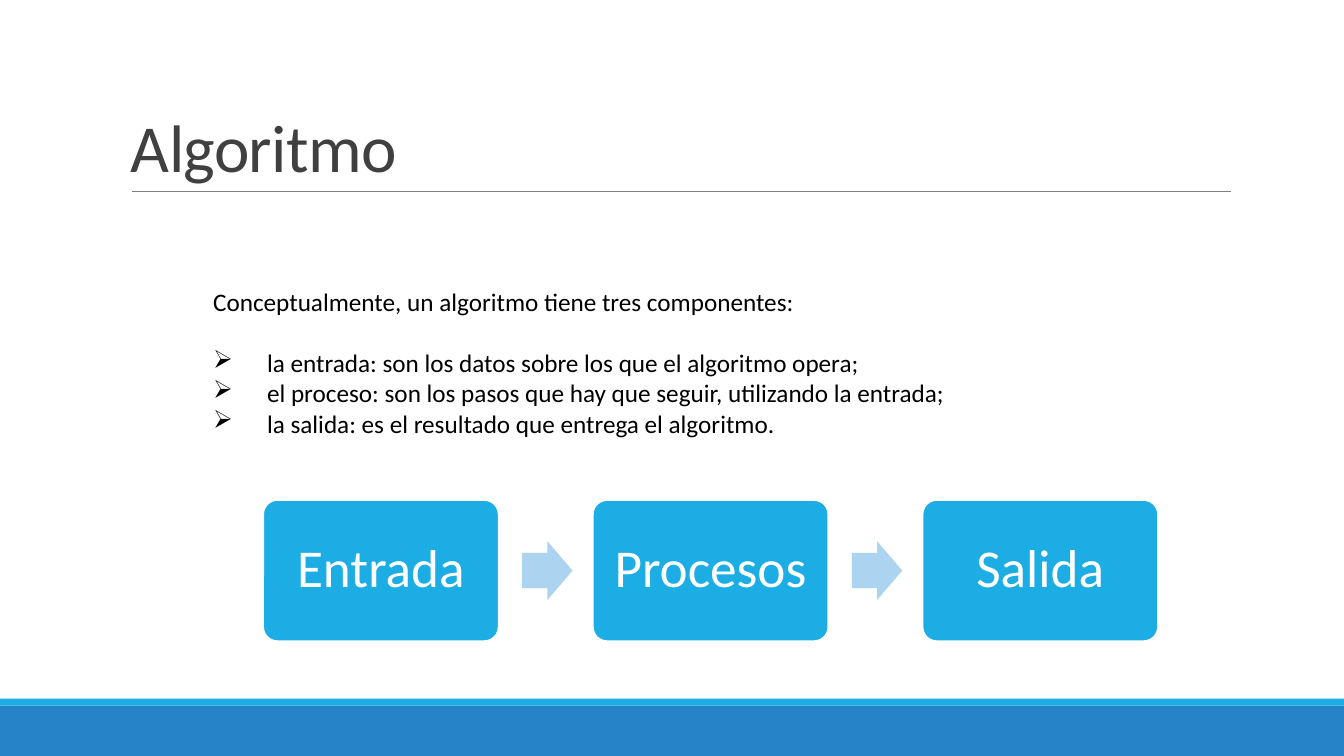
from dataclasses import dataclass

from lxml import etree
from pptx import Presentation
from pptx.dml.color import RGBColor
from pptx.enum import shapes, text
from pptx.oxml import ns
from pptx.util import Pt


@dataclass(frozen=True)
class Theme:
    """Colours and type sizes of the deck."""
    font: str = "Calibri"
    title_size: float = 48
    body_size: float = 18
    step_size: float = 38
    title: str = "404040"
    body: str = "000000"
    light: str = "FFFFFF"
    rule: str = "808080"
    accent: str = "1CADE4"
    band: str = "2683C6"
    arrow: str = "ACD3EF"


THEME = Theme()
PAGE_WIDTH, PAGE_HEIGHT = 960, 540
INTRO = "Conceptualmente, un algoritmo tiene tres componentes:"
COMPONENTS = (
    "la entrada: son los datos sobre los que el algoritmo opera;",
    "el proceso: son los pasos que hay que seguir, utilizando la entrada;",
    "la salida: es el resultado que entrega el algoritmo.",
)
STEPS = ("Entrada", "Procesos", "Salida")


def write(para, words, *, size, color, align=text.PP_ALIGN.LEFT,
          line_spacing=1.0, before=0, tracking=None):
    """Write formatted words into a paragraph."""
    para.alignment = align
    para.line_spacing = line_spacing
    para.space_before = Pt(before)
    span = para.add_run()
    span.text = words
    span.font.name = THEME.font
    span.font.size = Pt(size)
    span.font.color.rgb = RGBColor.from_string(color)
    if tracking is not None:
        span.font._element.set("spc", str(round(tracking * 100)))


def add_bullet(para, mark, indent):
    """Give a paragraph a hanging bullet."""
    props = para._p.get_or_add_pPr()
    props.set("marL", str(Pt(indent)))
    props.set("indent", str(-Pt(indent)))
    etree.SubElement(props, ns.qn("a:buChar")).set("char", mark)


def add_text_box(page, left, top, width, height, anchor):
    """Add a wrapping text box and return its frame."""
    box = page.shapes.add_textbox(Pt(left), Pt(top), Pt(width), Pt(height))
    frame = box.text_frame
    frame.word_wrap = True
    frame.vertical_anchor = anchor
    return frame


def add_filled(page, kind, left, top, width, height, fill, adjustments=()):
    """Add a filled shape with no outline or shadow."""
    shape = page.shapes.add_shape(kind, Pt(left), Pt(top), Pt(width), Pt(height))
    shape.shadow.inherit = False
    shape.fill.solid()
    shape.fill.fore_color.rgb = RGBColor.from_string(fill)
    shape.line.fill.background()
    for index, value in enumerate(adjustments):
        shape.adjustments[index] = value
    return shape


def draw_footer(page, left, top, width, height):
    """Draw the thin stripe above the footer band."""
    stripe = 5
    kind = shapes.MSO_SHAPE.RECTANGLE
    add_filled(page, kind, left, top + stripe, width, height - stripe, THEME.band)
    add_filled(page, kind, left, top, width, stripe, THEME.accent)


def draw_title(page, left, top, width, height):
    """Draw the title and the rule beneath it."""
    bottom = top + height
    rule = page.shapes.add_connector(
        shapes.MSO_CONNECTOR.STRAIGHT,
        Pt(left + 8), Pt(bottom), Pt(left + width + 1), Pt(bottom))
    rule.line.color.rgb = RGBColor.from_string(THEME.rule)
    rule.line.width = Pt(0.5)
    etree.SubElement(rule._element.spPr, ns.qn("a:effectLst"))
    frame = add_text_box(page, left, top, width, height, text.MSO_ANCHOR.BOTTOM)
    write(frame.paragraphs[0], "Algoritmo", size=THEME.title_size,
          color=THEME.title, line_spacing=0.85, tracking=-0.5)


def draw_components(page, left, top, width, height):
    """Draw the introduction and its bulleted components."""
    frame = add_text_box(page, left, top, width, height, text.MSO_ANCHOR.TOP)
    write(frame.paragraphs[0], INTRO, size=THEME.body_size, color=THEME.body)
    for index, words in enumerate(COMPONENTS):
        para = frame.add_paragraph()
        write(para, words, size=THEME.body_size, color=THEME.body,
              before=0 if index else 22)
        add_bullet(para, "➢", 38.5)


def draw_process(page, left, top, width, height):
    """Draw the steps in a row with an arrow between neighbours."""
    step_width, arrow_width, arrow_height = 168.2, 36, 42
    pitch = (width - step_width) / (len(STEPS) - 1)
    for index, words in enumerate(STEPS):
        x = left + index * pitch
        if index:
            add_filled(page, shapes.MSO_SHAPE.RIGHT_ARROW, x - 50.5,
                       top + (height - arrow_height) / 2, arrow_width,
                       arrow_height, THEME.arrow, (0.6, 0.5))
        step = add_filled(page, shapes.MSO_SHAPE.ROUNDED_RECTANGLE, x, top,
                          step_width, height, THEME.accent, (0.1,))
        step.line.color.rgb = RGBColor.from_string(THEME.light)
        step.line.width = Pt(1.25)
        frame = step.text_frame
        frame.word_wrap = True
        frame.vertical_anchor = text.MSO_ANCHOR.MIDDLE
        write(frame.paragraphs[0], words, size=THEME.step_size,
              color=THEME.light, align=text.PP_ALIGN.CENTER, line_spacing=0.9)


def main():
    """Build and save the deck."""
    deck = Presentation()
    deck.slide_width, deck.slide_height = Pt(PAGE_WIDTH), Pt(PAGE_HEIGHT)
    page = deck.slides.add_slide(deck.slide_layouts[6])
    draw_footer(page, 0, 499, PAGE_WIDTH, PAGE_HEIGHT - 499)
    draw_title(page, 86.4, 22.5, 792, 114)
    draw_components(page, 145.2, 201, 656, 116.6)
    draw_process(page, 188, 357.2, 639.2, 100.8)
    deck.save("out.pptx")


if __name__ == "__main__":
    main()
